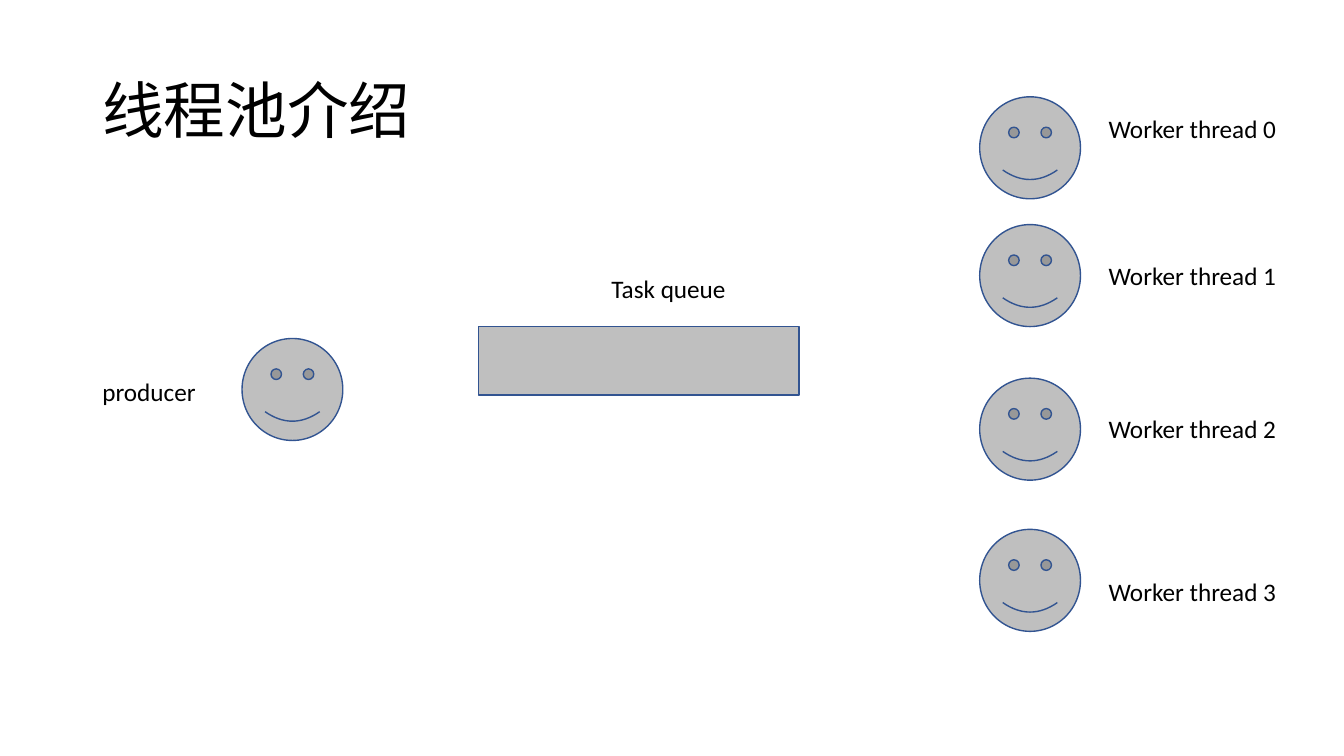
from pptx import Presentation
from pptx.dml.color import RGBColor
from pptx.enum import shapes, text
from pptx.util import Cm, Pt

BLACK = RGBColor(0x00, 0x00, 0x00)
GREY = RGBColor(0xBF, 0xBF, 0xBF)
BLUE = RGBColor(0x32, 0x54, 0x91)

# Lengths in centimetres
TITLE = ("线程池介绍", 2.33, 1.02, 29.21, 3.68)
LABELS = [
    ("producer", 2.33, 9.37, 4.04),
    ("Task queue", 15.16, 6.76, 5.64),
]
QUEUE = (12.06, 8.23, 8.08, 1.73)
PRODUCER = (6.1, 8.53)
WORKERS = [  # name, top of face, top of label
    ("Worker thread 0", 2.44, 2.74),
    ("Worker thread 1", 5.66, 6.43),
    ("Worker thread 2", 9.53, 10.29),
    ("Worker thread 3", 13.34, 14.4),
]
FACE_LEFT, FACE_WIDTH, FACE_HEIGHT = 24.69, 2.54, 2.57
WORKER_LABEL_LEFT, WORKER_LABEL_WIDTH = 27.69, 5.64
LABEL_HEIGHT = 1.03

deck = Presentation()
deck.slide_width, deck.slide_height = Cm(33.87), Cm(19.05)
page = deck.slides.add_slide(deck.slide_layouts[6])


def add_text(words, left, top, width, height=LABEL_HEIGHT, size=18,
             anchor=text.MSO_ANCHOR.TOP, spacing=1.0):
    box = page.shapes.add_textbox(Cm(left), Cm(top), Cm(width), Cm(height))
    frame = box.text_frame
    frame.word_wrap = True
    frame.vertical_anchor = anchor
    para = frame.paragraphs[0]
    para.line_spacing = spacing
    span = para.add_run()
    span.text = words
    span.font.name = "Calibri"
    span.font.size = Pt(size)
    span.font.color.rgb = BLACK


def add_figure(kind, left, top, width=FACE_WIDTH, height=FACE_HEIGHT):
    figure = page.shapes.add_shape(kind, Cm(left), Cm(top), Cm(width), Cm(height))
    figure.shadow.inherit = False
    figure.fill.solid()
    figure.fill.fore_color.rgb = GREY
    figure.line.color.rgb = BLUE
    figure.line.width = Pt(1)


add_text(*TITLE, size=44, anchor=text.MSO_ANCHOR.MIDDLE, spacing=0.9)
add_figure(shapes.MSO_SHAPE.RECTANGLE, *QUEUE)
add_figure(shapes.MSO_SHAPE.SMILEY_FACE, *PRODUCER)
for name, face_top, label_top in WORKERS:
    add_figure(shapes.MSO_SHAPE.SMILEY_FACE, FACE_LEFT, face_top)
    add_text(name, WORKER_LABEL_LEFT, label_top, WORKER_LABEL_WIDTH)
for label in LABELS:
    add_text(*label)

deck.save("out.pptx")
